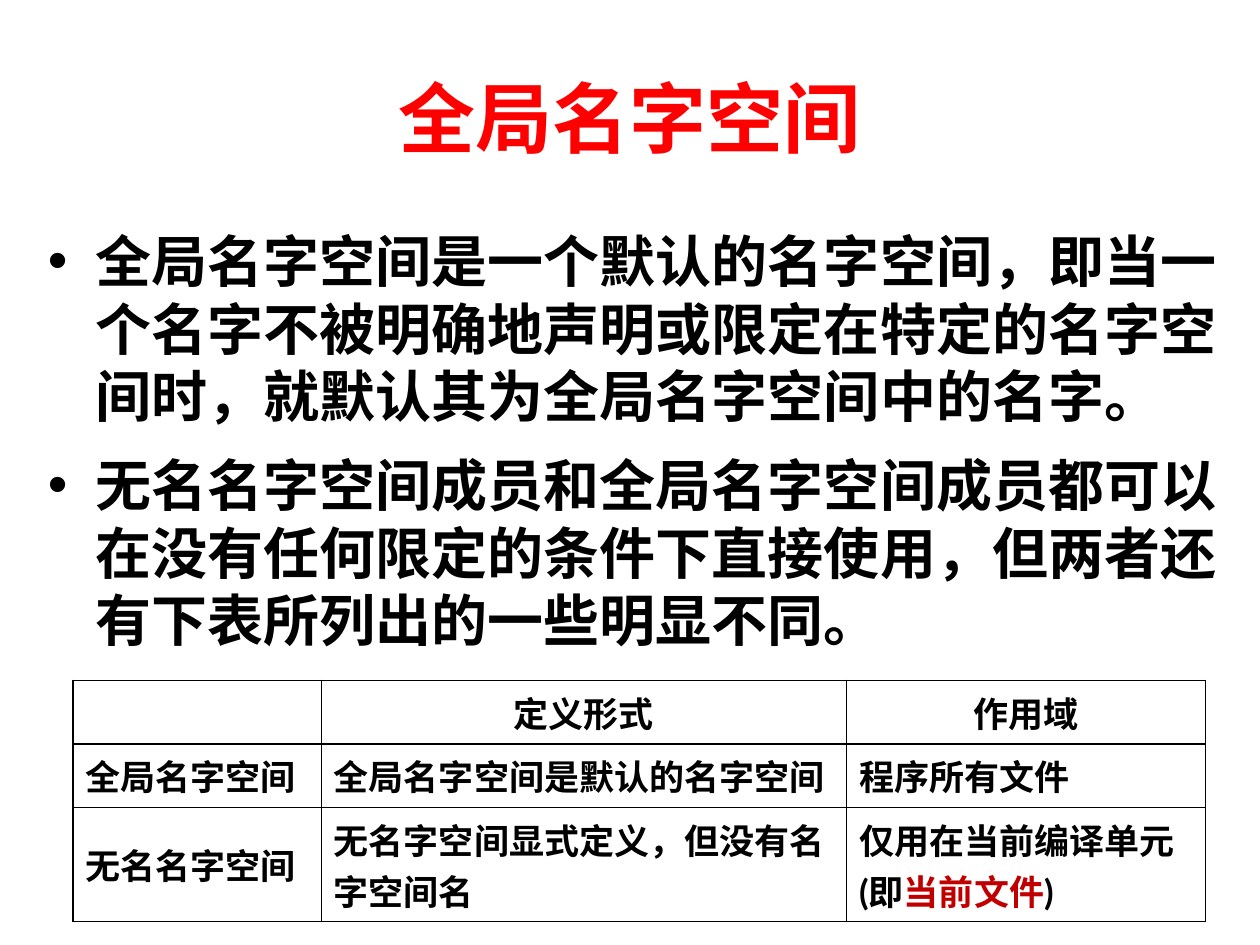
import pptx
import pptx.util
import pptx.dml.color
import pptx.enum.text
import pptx.oxml.ns
import lxml.etree

Inches, Pt = pptx.util.Inches, pptx.util.Pt
RGBColor = pptx.dml.color.RGBColor
PP_ALIGN = pptx.enum.text.PP_ALIGN
MSO_ANCHOR = pptx.enum.text.MSO_ANCHOR
qn = pptx.oxml.ns.qn

BLACK = RGBColor(0, 0, 0)
WHITE = RGBColor(255, 255, 255)
RED = RGBColor(255, 0, 0)
DARK_RED = RGBColor(0xC0, 0, 0)

POINTS = [
    "全局名字空间是一个默认的名字空间，即当一个名字不被明确地声明或限定在特定的名字空间时，就默认其为全局名字空间中的名字。",
    "无名名字空间成员和全局名字空间成员都可以在没有任何限定的条件下直接使用，但两者还有下表所列出的一些明显不同。",
]
# Each cell is a list of (text, colour) runs
ROWS = [
    [[], [("定义形式", BLACK)], [("作用域", BLACK)]],
    [[("全局名字空间", BLACK)], [("全局名字空间是默认的名字空间", BLACK)],
     [("程序所有文件", BLACK)]],
    [[("无名名字空间", BLACK)], [("无名字空间显式定义，但没有名字空间名", BLACK)],
     [("仅用在当前编译单元(即", BLACK), ("当前文件", DARK_RED), (")", BLACK)]],
]
COL_WIDTHS = [1.97, 4.17, 2.85]


def add_run(p, text, size, color, font, east_asian=None):
    r = p.add_run()
    r.text = text
    r.font.size = Pt(size)
    r.font.bold = True
    r.font.name = font
    r.font.color.rgb = color
    if east_asian:
        ea = lxml.etree.SubElement(r.font._element, qn("a:ea"))
        ea.set("typeface", east_asian)


def place(sp, left, top, width, height):
    sp.left, sp.top = Inches(left), Inches(top)
    sp.width, sp.height = Inches(width), Inches(height)


def set_title(sp, text):
    place(sp, 0.5, 0.3, 9, 1.25)
    tf = sp.text_frame
    tf.auto_size = pptx.enum.text.MSO_AUTO_SIZE.NONE
    tf.vertical_anchor = MSO_ANCHOR.MIDDLE
    p = tf.paragraphs[0]
    p.alignment = PP_ALIGN.CENTER
    add_run(p, text, 44, RED, "Times New Roman", "Lato")


def set_bullets(sp, points):
    place(sp, 0.28, 1.75, 9.72, 3.5)
    tf = sp.text_frame
    tf.auto_size = pptx.enum.text.MSO_AUTO_SIZE.NONE
    for i, text in enumerate(points):
        p = tf.paragraphs[0] if i == 0 else tf.add_paragraph()
        p.space_before = p.space_after = Pt(6.4)
        pPr = p._p.get_or_add_pPr()
        pPr.set("marL", str(Inches(0.38)))
        pPr.set("indent", str(Inches(-0.38)))
        lxml.etree.SubElement(pPr, qn("a:buChar")).set("char", "•")
        add_run(p, text, 32, BLACK, "Times New Roman", "Lato")


def set_borders(cell, color, width):
    tcPr = cell._tc.get_or_add_tcPr()
    for i, side in enumerate(("a:lnL", "a:lnR", "a:lnT", "a:lnB")):
        ln = lxml.etree.Element(qn(side), w=str(Pt(width)))
        fill = lxml.etree.SubElement(ln, qn("a:solidFill"))
        lxml.etree.SubElement(fill, qn("a:srgbClr")).set("val", str(color))
        tcPr.insert(i, ln)


def add_comparison(s, rows, widths):
    frame = s.shapes.add_table(len(rows), len(widths), Inches(0.58), Inches(5.4),
                               Inches(sum(widths)), Inches(1.63))
    table = frame.table
    table.first_row = table.horz_banding = False
    for column, width in zip(table.columns, widths):
        column.width = Inches(width)
    for i, cells in enumerate(rows):
        table.rows[i].height = Inches(0.37)
        for j, runs in enumerate(cells):
            cell = table.cell(i, j)
            cell.fill.solid()
            cell.fill.fore_color.rgb = WHITE
            set_borders(cell, BLACK, 1)
            p = cell.text_frame.paragraphs[0]
            if i == 0:
                p.alignment = PP_ALIGN.CENTER
            else:
                cell.vertical_anchor = MSO_ANCHOR.MIDDLE
            for text, color in runs:
                add_run(p, text, 20, color, "Lato")
    frame.height = Inches(1.63)


def main():
    prs = pptx.Presentation()
    prs.slide_width, prs.slide_height = Inches(10), Inches(7.5)
    # Title and content layout: the bullets use its body placeholder
    s = prs.slides.add_slide(prs.slide_layouts[1])
    set_title(s.shapes.title, "全局名字空间")
    set_bullets(s.placeholders[1], POINTS)
    # Comparison of the two kinds of namespace
    add_comparison(s, ROWS, COL_WIDTHS)
    prs.save("out.pptx")


if __name__ == "__main__":
    main()
